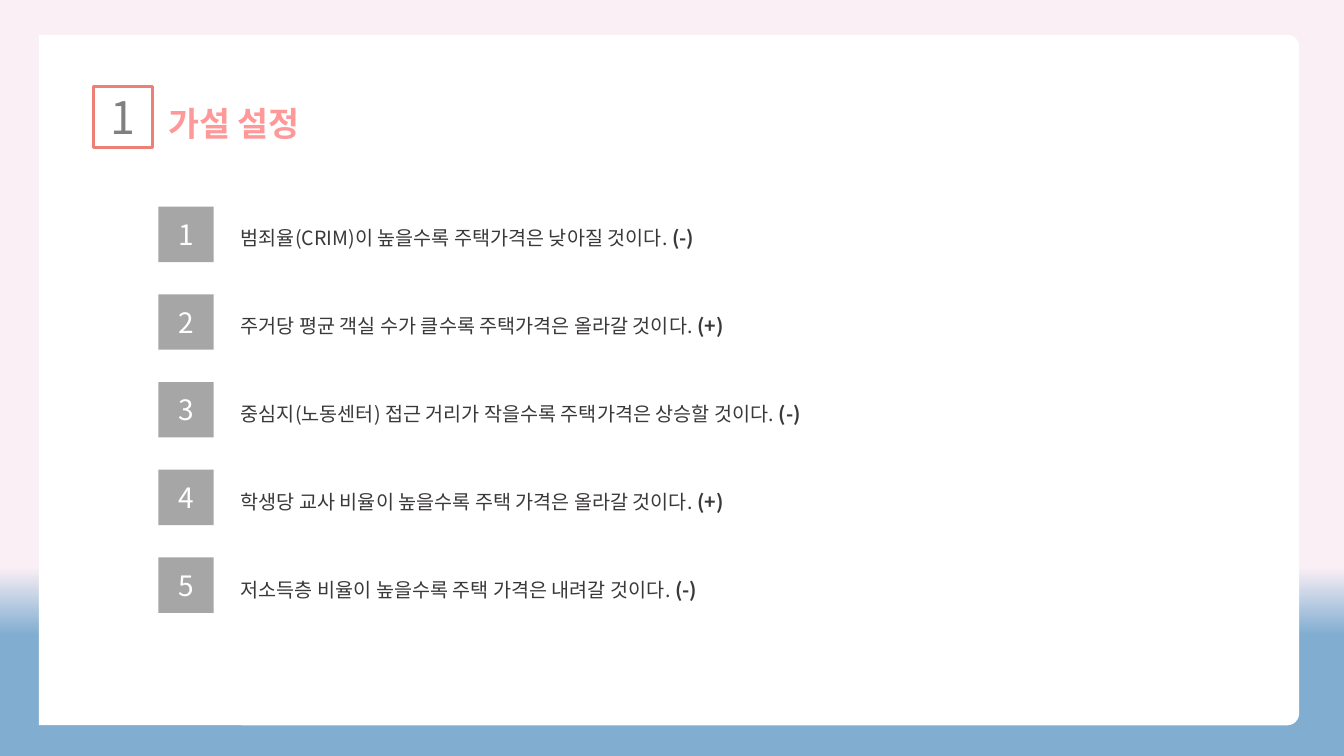
from lxml.etree import SubElement
from pptx import Presentation
from pptx.dml.color import RGBColor
from pptx.enum.shapes import MSO_SHAPE
from pptx.enum.text import MSO_ANCHOR, MSO_AUTO_SIZE, PP_ALIGN
from pptx.oxml.ns import qn
from pptx.util import Inches, Pt

COLORS = {
    "sky": "FAEFF5", "sea": "81ADD0", "panel": "FFFFFF", "title": "FF9999",
    "frame": "ED8074", "number": "808080", "badge": "A6A6A6", "body": "3B3838",
}
HYPOTHESES = [
    ("범죄율(CRIM)이 높을수록 주택가격은 낮아질 것이다. ", "(-)", 48.3),
    ("주거당 평균 객실 수가 클수록 주택가격은 올라갈 것이다. ", "(+)", 57.9),
    ("중심지(노동센터) 접근 거리가 작을수록 주택가격은 상승할 것이다. ", "(-)", 60.1),
    ("학생당 교사 비율이 높을수록 주택 가격은 올라갈 것이다. ", "(+)", 51.6),
    ("저소득층 비율이 높을수록 주택 가격은 내려갈 것이다. ", "(-)", 54.3),
]


class SlideBuilder:
    """Draws styled elements on a page whose grid cells are a tenth of an inch square."""

    font_name = "Noto Sans CJK KR"
    cell = 0.1

    def __init__(self, page):
        self.page = page

    def color(self, name):
        return RGBColor.from_string(COLORS[name])

    def place(self, *cells):
        return [Inches(count * self.cell) for count in cells]

    def background(self, stops, angle):
        fill = self.page.background.fill
        fill.gradient()
        fill.gradient_angle = angle
        for stop, (name, position) in zip(fill.gradient_stops, stops):
            stop.color.rgb = self.color(name)
            stop.position = position

    def shape(self, kind, cells, fill=None, line=None):
        box = self.page.shapes.add_shape(kind, *self.place(*cells))
        box.shadow.inherit = False
        if fill:
            box.fill.solid()
            box.fill.fore_color.rgb = self.color(fill)
        else:
            box.fill.background()
        if line:
            box.line.color.rgb = self.color(line)
            box.line.width = Pt(2.25)
        else:
            box.line.fill.background()
        return box

    def span(self, para, text, size, color, bold=False):
        span = para.add_run()
        span.text = text
        span.font.size = Pt(size)
        span.font.bold = bold
        span.font.color.rgb = self.color(color)
        span.font.name = self.font_name
        SubElement(span.font._element, qn("a:ea"), typeface=self.font_name)

    def number(self, text, cells, size, color, fill=None, line=None):
        box = self.shape(MSO_SHAPE.RECTANGLE, cells, fill, line)
        box.text_frame.vertical_anchor = MSO_ANCHOR.MIDDLE
        para = box.text_frame.paragraphs[0]
        para.alignment = PP_ALIGN.CENTER
        self.span(para, text, size, color)

    def text(self, cells, spans, size, color, spacing):
        frame = self.page.shapes.add_textbox(*self.place(*cells)).text_frame
        frame.word_wrap = True
        frame.auto_size = MSO_AUTO_SIZE.SHAPE_TO_FIT_TEXT
        para = frame.paragraphs[0]
        para.line_spacing = spacing
        for words, bold in spans:
            self.span(para, words, size, color, bold)


def main():
    deck = Presentation()
    deck.slide_width, deck.slide_height = Inches(13.33), Inches(7.5)
    builder = SlideBuilder(deck.slides.add_slide(deck.slide_layouts[6]))
    builder.background([("sky", 0.75), ("sea", 0.84)], 270)

    panel = builder.shape(
        MSO_SHAPE.ROUND_2_SAME_RECTANGLE, (32.1, -24.8, 68.5, 125), "panel")
    panel.rotation = 270
    panel.adjustments[0], panel.adjustments[1] = 0, 0.017

    builder.text((15.7, 7.7, 101.8, 6.5), [("가설 설정", True)], 24, "title", 1.5)
    builder.number("1", (9.3, 8.6, 5.8, 6), 32, "number", line="frame")

    for index, (claim, sign, width) in enumerate(HYPOTHESES):
        builder.number(str(index + 1), (15.7, 20.5 + 8.7 * index, 5.5, 5.5),
                       20, "panel", fill="badge")
        builder.text((22.9, 21.3 + 8.75 * index, width, 3.8),
                     [(claim, False), (sign, True)], 14, "body", 1.25)

    deck.save("out.pptx")


if __name__ == "__main__":
    main()
